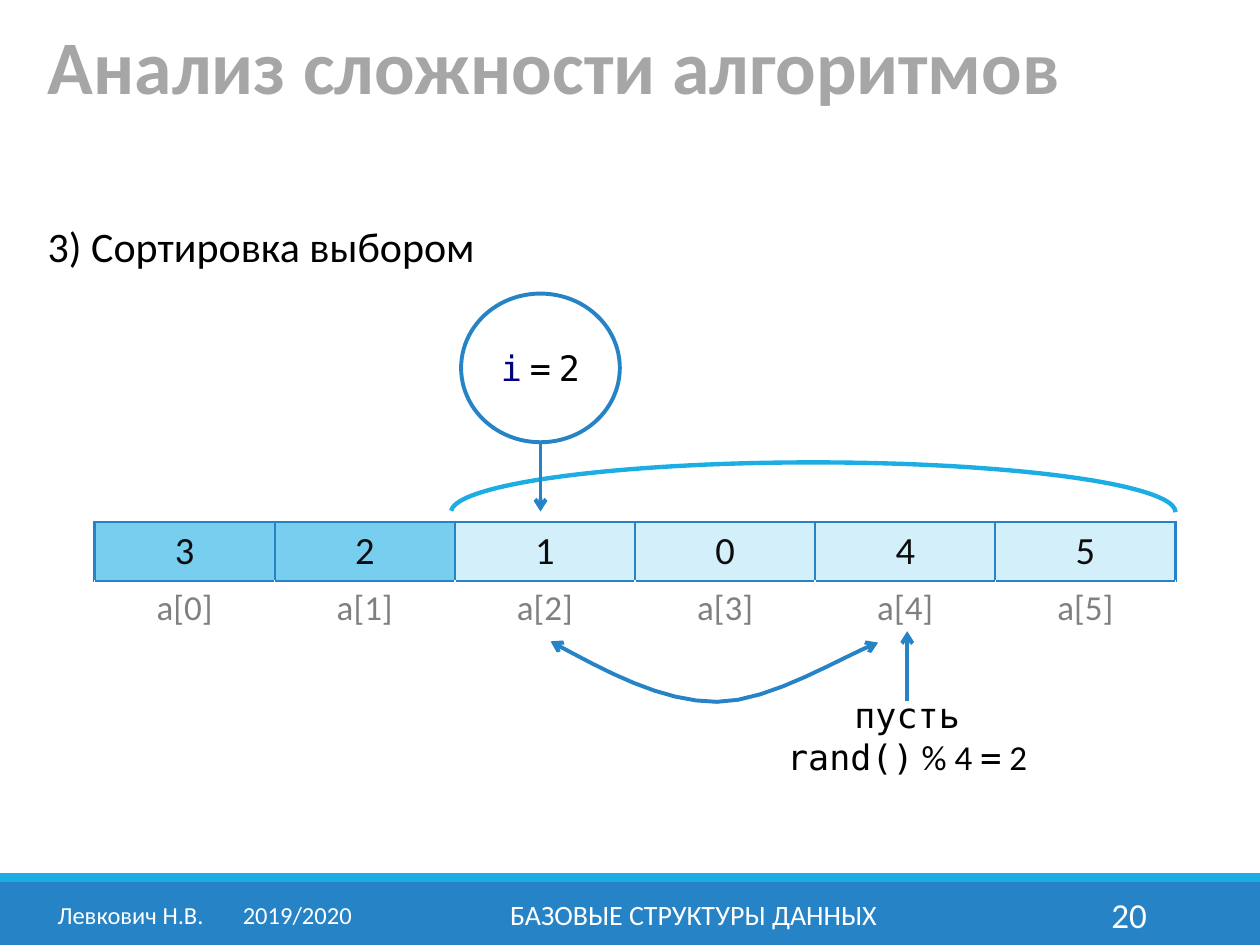
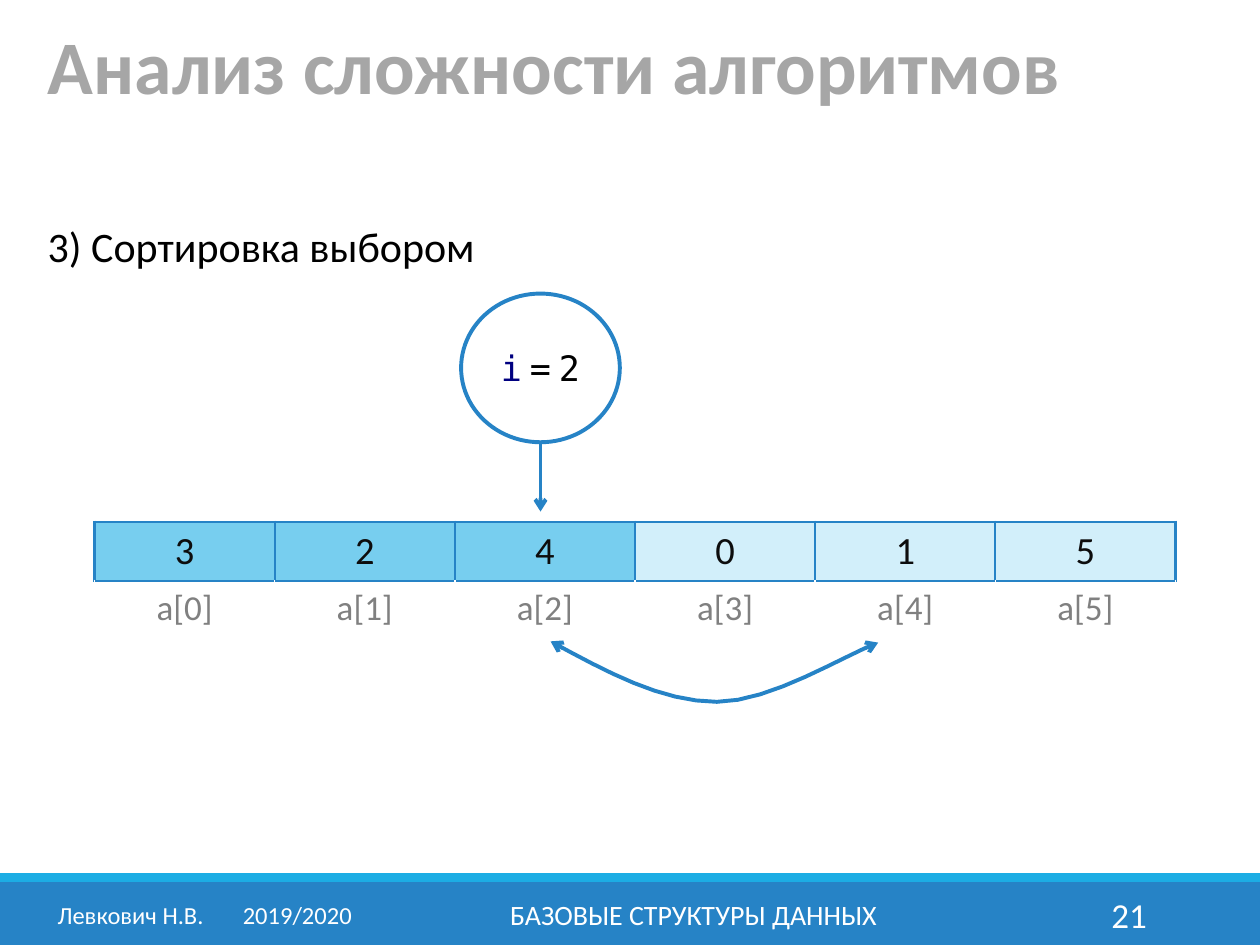
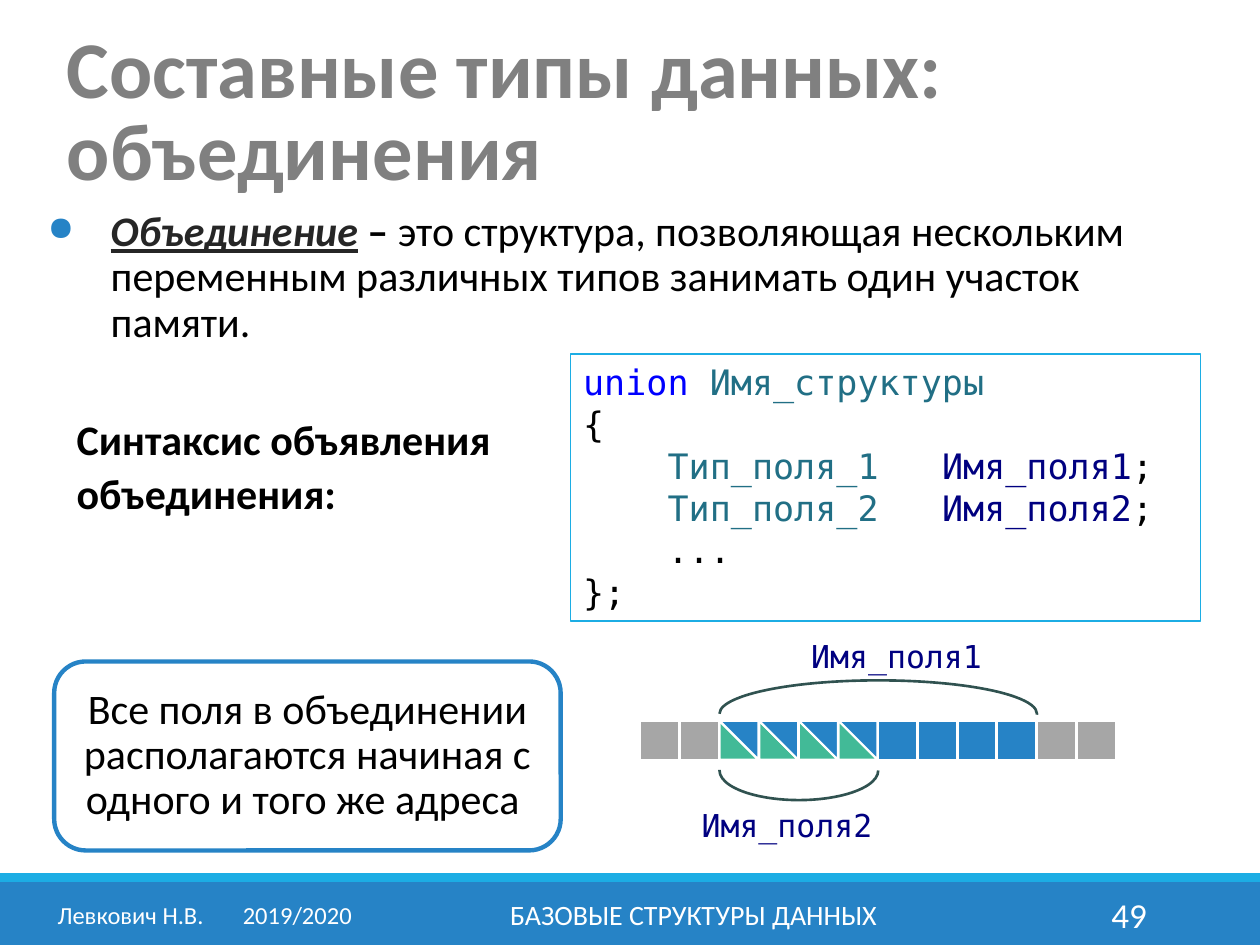
from lxml.etree import SubElement
from pptx import Presentation
from pptx.dml.color import RGBColor
from pptx.enum.shapes import MSO_CONNECTOR, MSO_SHAPE as Preset
from pptx.enum.text import MSO_ANCHOR as Anchor, MSO_AUTO_SIZE, PP_ALIGN as Align
from pptx.oxml.ns import qn
from pptx.util import Inches, Pt

COLORS = {
    "blue": "2683C6", "cyan": "1CADE4", "sorted": "77CEEF", "unsorted": "D2EFFA",
    "white": "FFFFFF", "black": "000000", "ink": "0D0D0D", "term": "262626",
    "grey": "808080", "light grey": "A6A6A6", "green": "42BA97", "brace": "305250",
    "keyword": "0000FF", "type": "216F85", "variable": "000080",
}
RGB = {name: RGBColor.from_string(value) for name, value in COLORS.items()}
SANS, MONO = "Calibri", "DejaVu Sans Mono"
CENTER = {"alignment": Align.CENTER}
BODY = {"name": SANS, "size": Pt(24), "color": "black"}
CODE = {"name": MONO, "size": Pt(20), "color": "black"}
VARIABLE = {"color": "variable"}
TYPE = {"color": "type"}


def write(frame, paragraphs, base, layout=None, anchor=Anchor.TOP):
    """Fill a frame; each paragraph is a string or a list of (text, changes to base)."""
    frame.word_wrap = True
    frame.vertical_anchor = anchor
    for index, runs in enumerate(paragraphs):
        paragraph = frame.add_paragraph() if index else frame.paragraphs[0]
        for name, value in (layout or {}).items():
            setattr(paragraph, name, value)
        for text, changes in [(runs, {})] if isinstance(runs, str) else runs:
            if text == "\n":
                paragraph.add_line_break()
                continue
            run = paragraph.add_run()
            run.text = text
            font_format = {**base, **changes}
            run.font.color.rgb = RGB[font_format.pop("color")]
            for name, value in font_format.items():
                setattr(run.font, name, value)


def paint(shape, fill=None, line=None, width=1, ends=()):
    """Set fill, outline and arrowheads, and take the shadow away."""
    if line:
        shape.line.color.rgb = RGB[line]
        shape.line.width = Pt(width)
    else:
        shape.line.fill.background()
    for end in ends:
        SubElement(shape.element.spPr.find(qn("a:ln")), qn(f"a:{end}End"), type="arrow")
    if not hasattr(shape, "fill"):
        SubElement(shape.element.spPr, qn("a:effectLst"))
        return
    shape.shadow.inherit = False
    if fill:
        shape.fill.solid()
        shape.fill.fore_color.rgb = RGB[fill]
    else:
        shape.fill.background()


prs = Presentation()
prs.slide_width, prs.slide_height = Inches(10), Inches(7.5)
title_only = prs.slide_layouts[5]

SORTING = {"text": "Анализ сложности алгоритмов", "at": (0.28, 0, 8.25, 0.92),
           "size": 43.2, "color": "light grey", "anchor": Anchor.BOTTOM}
UNIONS = {"text": "Составные типы данных: объединения", "at": (0.43, 0.21, 9.45, 0.99),
          "size": 46, "color": "grey", "anchor": Anchor.TOP}
FOOTERS = [
    ((3.02, 7.06, 4.97, 0.4), "БАЗОВЫЕ СТРУКТУРЫ ДАННЫХ", 16, Align.CENTER),
    ((0.32, 7.06, 2.61, 0.4), "Левкович Н.В.\t2019/2020", 14, Align.CENTER),
]
slides = []
for number, heading in ((20, SORTING), (21, SORTING), (49, UNIONS)):
    slide = prs.slides.add_slide(title_only)
    slides.append(slide)
    title = slide.shapes.title
    title.left, title.top, title.width, title.height = map(Inches, heading["at"])
    write(title.text_frame, [heading["text"]],
          {"name": SANS, "size": Pt(heading["size"]), "bold": True, "color": heading["color"]},
          {"alignment": Align.LEFT, "line_spacing": 0.85}, heading["anchor"])
    title.text_frame.auto_size = MSO_AUTO_SIZE.NONE
    title.text_frame.paragraphs[0].runs[0].font.element.set("spc", "-50") if hasattr(
        title.text_frame.paragraphs[0].runs[0].font, "element") else None
    page_number = ((8.12, 7.06, 1.08, 0.4), str(number), 20, Align.RIGHT)
    for place, text, size, align in FOOTERS + [page_number]:
        footer = slide.shapes.add_textbox(*map(Inches, place))
        write(footer.text_frame, [text], {"name": SANS, "size": Pt(size), "color": "white"},
              {"alignment": align}, Anchor.MIDDLE)
        if "\t" in text:
            properties = footer.element.find(".//" + qn("a:pPr"))
            tabs = SubElement(properties, qn("a:tabLst"))
            SubElement(tabs, qn("a:tab"), pos=str(Inches(1.47)), algn="l")

# The bands belong to the layout, so every slide shows them behind its footers.
for top, height, color in ((7, 0.5, "blue"), (6.93, 0.07, "cyan")):
    band = slides[0].shapes.add_shape(Preset.RECTANGLE, 0, Inches(top), prs.slide_width, Inches(height))
    paint(band, color)
    title_only.shapes.element.append(band.element)

# Selection sort: the array before and after the swap of a[2] and a[4]
SWAP_CURVES = [
    ((4.37, 5.09), (4.81, 5.33), (5.25, 5.57), (5.69, 5.57)),
    ((5.69, 5.57), (6.12, 5.57), (6.7, 5.2), (6.97, 5.1)),
]
STEPS = 8
swap_points = []
for curve in SWAP_CURVES:
    for step in range(1, STEPS + 1):
        t = step / STEPS
        weights = ((1 - t) ** 3, 3 * t * (1 - t) ** 2, 3 * t * t * (1 - t), t ** 3)
        swap_points.append([Inches(sum(w * point[axis] for w, point in zip(weights, curve)))
                            for axis in (0, 1)])

for slide, values, sorted_count in ((slides[0], "321045", 2), (slides[1], "324015", 3)):
    shapes = slide.shapes
    subtitle = shapes.add_textbox(Inches(0.28), Inches(1.7), Inches(6.61), Inches(0.5))
    write(subtitle.text_frame, ["3) Сортировка выбором"], BODY)

    array = shapes.add_table(2, len(values), Inches(0.75), Inches(4.14), Inches(8.58), Inches(0.9)).table
    array.first_row = array.horz_banding = False
    array.rows[0].height, array.rows[1].height = Inches(0.47), Inches(0.43)
    for column, value in enumerate(values):
        value_fill = "sorted" if column < sorted_count else "unsorted"
        for row, (text, size, color, fill, edge, edge_width, anchor) in enumerate((
                (value, 22, "ink", value_fill, "blue", 1.5, Anchor.TOP),
                (f"a[{column}]", 20, "grey", "white", "white", 1, Anchor.MIDDLE))):
            cell = array.cell(row, column)
            write(cell.text_frame, [text], {"name": SANS, "size": Pt(size), "color": color}, CENTER)
            cell.vertical_anchor = anchor
            for side in "LRTB":
                side_color, side_width = ("blue", 1.5) if side == "T" else (edge, edge_width)
                border = SubElement(cell._tc.get_or_add_tcPr(), qn(f"a:ln{side}"), w=str(Pt(side_width)))
                solid = SubElement(border, qn("a:solidFill"))
                SubElement(solid, qn("a:srgbClr"), val=COLORS[side_color])
            cell.fill.solid()
            cell.fill.fore_color.rgb = RGB[fill]

    swap = shapes.build_freeform(Inches(4.37), Inches(5.09), scale=1.0)
    swap.add_line_segments(swap_points, close=False)
    paint(swap.convert_to_shape(), None, "blue", 2.25, ("head", "tail"))

    pointers = [(4.29, 3.51, 4.06)]
    if slide is slides[0]:
        pointers.append((7.2, 5.56, 5.01))
        choice = shapes.add_textbox(Inches(6.1), Inches(5.25), Inches(2.2), Inches(1.18))
        for side in ("left", "right", "top", "bottom"):
            setattr(choice.text_frame, f"margin_{side}", 0)
        write(choice.text_frame, [[("пусть", {}), ("\n", {}), ("rand()", {}), (" % 4 ", {"name": SANS}),
                                   ("=", {}), (" 2", {"name": SANS})]], CODE, CENTER, Anchor.MIDDLE)
        remaining = shapes.add_shape(Preset.ARC, Inches(3.58), Inches(3.67), Inches(5.75), Inches(0.79))
        remaining.adjustments[0], remaining.adjustments[1] = 108.13, 0
        paint(remaining, None, "cyan", 2.5)
    for x, start, end in pointers:
        pointer = shapes.add_connector(MSO_CONNECTOR.STRAIGHT, Inches(x), Inches(start), Inches(x), Inches(end))
        paint(pointer, None, "blue", 2.25, ("tail",))

    index_circle = shapes.add_shape(Preset.OVAL, Inches(3.66), Inches(2.33), Inches(1.26), Inches(1.18))
    paint(index_circle, None, "blue", 2.25)
    write(index_circle.text_frame, [[("i", VARIABLE), (" ", {"name": SANS}), ("=", {}),
                                     (" ", {"name": SANS}), ("2", {})]], CODE, CENTER, Anchor.MIDDLE)

# Unions: definition, syntax and memory layout
shapes = slides[2].shapes
SPACED = {"line_spacing": 0.9, "space_before": Pt(5)}
definition = shapes.add_textbox(Inches(0.28), Inches(1.62), Inches(9.45), Inches(1.19))
write(definition.text_frame, [[
    ("Объединение", {"bold": True, "italic": True, "underline": True, "color": "term"}),
    (" ", {"bold": True, "color": "term"}),
    ("– ", {"bold": True}),
    ("это структура, позволяющая нескольким переменным различных типов занимать один участок памяти.", {}),
]], BODY, SPACED)
syntax = shapes.add_textbox(Inches(0.51), Inches(3.28), Inches(3.86), Inches(0.91))
write(syntax.text_frame, ["Синтаксис объявления", "объединения:"], {**BODY, "bold": True}, SPACED)
for box in (definition, syntax):
    for properties in box.element.iter(qn("a:pPr")):
        properties.set("marL", str(Inches(0.5)))
        properties.set("indent", str(-Inches(0.5)))
bullet = definition.element.find(".//" + qn("a:pPr"))
SubElement(SubElement(bullet, qn("a:buClr")), qn("a:srgbClr"), val=COLORS["blue"])
SubElement(bullet, qn("a:buSzPct"), val="80000")
SubElement(bullet, qn("a:buChar"), char="●")

declaration = shapes.add_shape(Preset.RECTANGLE, Inches(4.53), Inches(2.81), Inches(5), Inches(2.12))
paint(declaration, None, "cyan", 0.75)
fields = [[("    ", {}), (f"Тип_поля_{n}", TYPE), ("   ", {}), (f"Имя_поля{n}", VARIABLE), (";", {})]
          for n in (1, 2)]
write(declaration.text_frame,
      [[("union", {"color": "keyword"}), (" ", {}), ("Имя_структуры", TYPE)], "{", *fields, "    ...", "};"],
      CODE, {"alignment": Align.LEFT})

BYTE, PITCH, MEMORY_LEFT, MEMORY_TOP = 0.31, 0.315, 5.08, 5.72
MEMORY = ["free"] * 2 + ["shared"] * 4 + ["first field"] * 4 + ["free"] * 2
BYTE_PARTS = {
    "free": [(Preset.RECTANGLE, "light grey", 0)],
    "first field": [(Preset.RECTANGLE, "blue", 0)],
    "shared": [(Preset.ISOSCELES_TRIANGLE, "green", 0), (Preset.ISOSCELES_TRIANGLE, "blue", 180)],
}
for position, use in enumerate(MEMORY):
    for preset, color, rotation in BYTE_PARTS[use]:
        part = shapes.add_shape(preset, Inches(MEMORY_LEFT + position * PITCH), Inches(MEMORY_TOP),
                                Inches(BYTE), Inches(BYTE))
        if use == "shared":
            part.adjustments[0] = 0
        part.rotation = rotation
        paint(part, color, "white", 1.25)

for field, label_left, label_top, brace_top, width, height, rotation in (
        ("Имя_поля1", 6.34, 5.01, 5.4, 2.52, 0.53, 0),
        ("Имя_поля2", 5.47, 6.35, 5.88, 1.26, 0.47, 180)):
    brace = shapes.add_shape(Preset.ARC, Inches(5.71), Inches(brace_top), Inches(width), Inches(height))
    brace.adjustments[0], brace.adjustments[1] = 108, 0.22
    brace.rotation = rotation
    paint(brace, None, "brace", 1.5)
    label = shapes.add_textbox(Inches(label_left), Inches(label_top), Inches(1.73), Inches(0.4))
    write(label.text_frame, [field], {**CODE, **VARIABLE, "size": Pt(18)})

remark = shapes.add_shape(Preset.ROUNDED_RECTANGLE, Inches(0.43), Inches(5.25), Inches(4.02), Inches(1.5))
paint(remark, "white", "blue", 2.5)
write(remark.text_frame, ["Все поля в объединении располагаются начиная с одного и того же адреса "],
      BODY, {**CENTER, **SPACED}, Anchor.MIDDLE)

prs.save("out.pptx")
